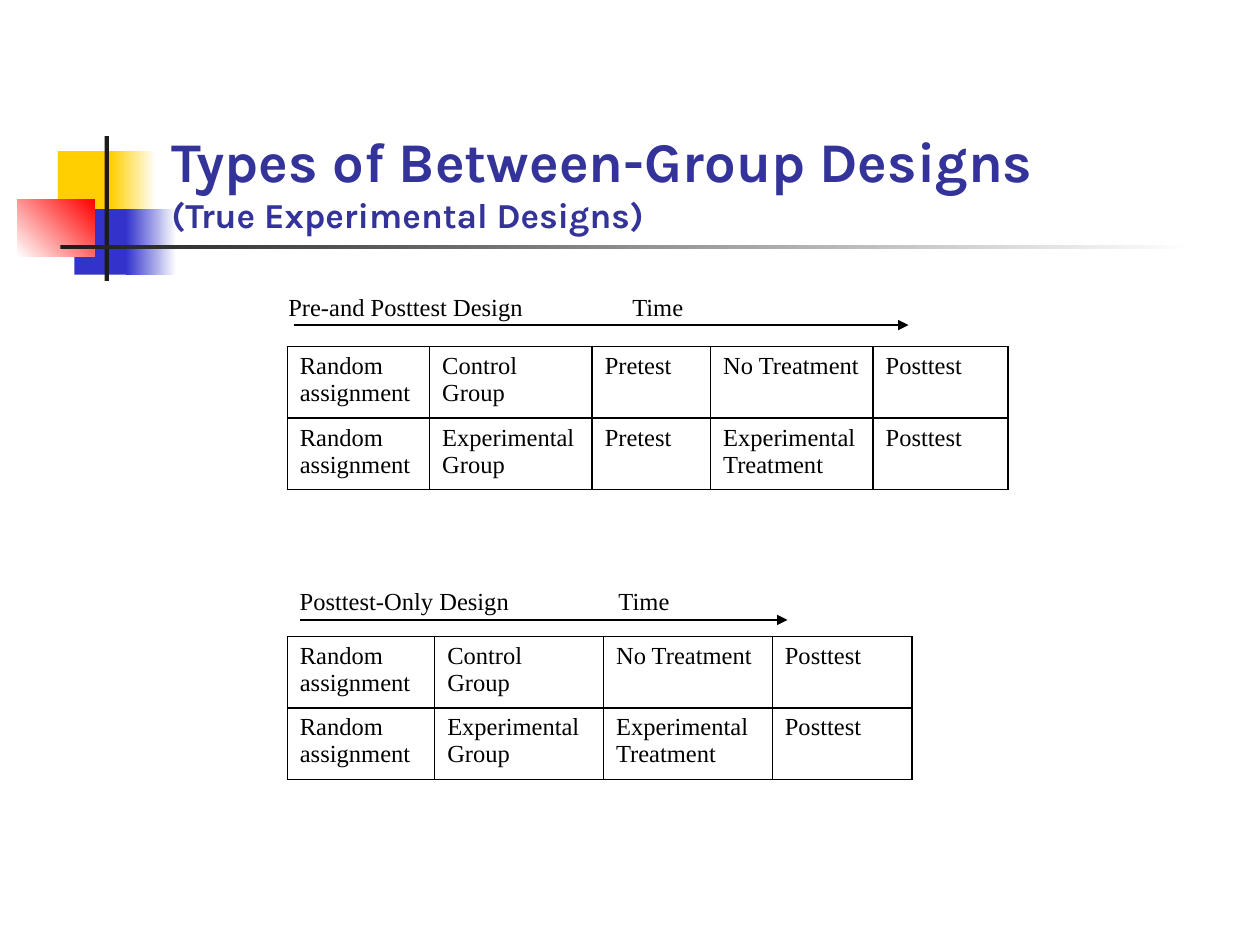
"""Build the slide on types of between-group experimental designs."""
from lxml.etree import SubElement
from pptx import Presentation
from pptx.dml.color import RGBColor
from pptx.enum.shapes import MSO_CONNECTOR as Connector, MSO_SHAPE as Shape
from pptx.enum.text import MSO_ANCHOR as Anchor, MSO_AUTO_SIZE as AutoSize, PP_ALIGN as Align
from pptx.oxml.ns import qn
from pptx.util import Inches, Pt

COLORS = {
    "yellow": "FFCF01", "blue": "3333CC", "red": "FF0000", "dark": "1C1C1C",
    "white": "FFFFFF", "title": "333399", "black": "000000",
}

deck = Presentation()
deck.slide_width, deck.slide_height = Inches(10), Inches(7.5)
COLUMN, ROW = deck.slide_width / 100, deck.slide_height / 75


def place(left, top, width, height):
    return [round(left * COLUMN), round(top * ROW), round(width * COLUMN), round(height * ROW)]


def write(para, text, size=14, font="Times New Roman", color="black", bold=False):
    span = para.add_run()
    span.text = text
    span.font.size, span.font.name, span.font.bold = Pt(size), font, bold
    span.font.color.rgb = RGBColor.from_string(COLORS[color])


page = deck.slides.add_slide(deck.slide_layouts[5])

decorations = [
    ((4.6, 12, 4.8, 5.2), ["yellow"], 0),
    ((8.8, 12, 3.6, 5.2), ["yellow", "white"], 0),
    ((5.9, 16.6, 4.6, 5.2), ["blue"], 0),
    ((10, 16.6, 4, 5.2), ["blue", "white"], 0),
    ((1.4, 15.8, 6.1, 4.6), ["white", "red"], 45),
    ((8.3, 10.8, 0.35, 11.5), ["dark"], 0),
    ((4.8, 19.45, 90, 0.35), ["dark", "white"], 0),
]
for area, names, angle in decorations:
    block = page.shapes.add_shape(Shape.RECTANGLE, *place(*area))
    block.shadow.inherit = False
    block.line.fill.background()
    if len(names) == 1:
        block.fill.solid()
        block.fill.fore_color.rgb = RGBColor.from_string(COLORS[names[0]])
    else:
        block.fill.gradient()
        block.fill.gradient_angle = angle
        for stop, name in zip(block.fill.gradient_stops, names):
            stop.color.rgb = RGBColor.from_string(COLORS[name])

title = page.shapes.title
title.left, title.top, title.width, title.height = place(12.6, 10.8, 85.2, 8.4)
title.element.getparent().append(title.element)
frame = title.text_frame
frame.auto_size, frame.vertical_anchor, frame.word_wrap = AutoSize.NONE, Anchor.BOTTOM, True
para = frame.paragraphs[0]
para.alignment = Align.LEFT
write(para, "Types of Between-Group Designs", size=32, font="Karla", color="title", bold=True)
para.add_line_break()
write(para, "(True Experimental Designs)", size=20, font="Karla", color="title", bold=True)

designs = [
    {
        "label": "Pre-and Posttest Design", "box": (21.9, 22.5, 39.7, 5.7), "tab": 27.3,
        "arrow": (23.3, 72.1, 25.8), "top": 27.5, "widths": [11.3, 12.9, 9.4, 12.9, 10.7],
        "rows": [
            ["Random assignment", "Control Group", "Pretest", "No Treatment", "Posttest"],
            ["Random assignment", "Experimental Group", "Pretest", "Experimental Treatment", "Posttest"],
        ],
    },
    {
        "label": "Posttest-Only Design", "box": (22.8, 45.8, 31.5, 5.7), "tab": 25.3,
        "arrow": (23.8, 62.5, 49.2), "top": 50.5, "widths": [11.7, 13.4, 13.4, 11.1],
        "rows": [
            ["Random assignment", "Control Group", "No Treatment", "Posttest"],
            ["Random assignment", "Experimental Group", "Experimental Treatment", "Posttest"],
        ],
    },
]
for design in designs:
    start, end, level = design["arrow"]
    ends = place(start, level, end, level)
    arrow = page.shapes.add_connector(Connector.STRAIGHT, *ends)
    arrow.line.width = Pt(0.75)
    arrow.line.color.rgb = RGBColor.from_string(COLORS["black"])
    SubElement(arrow.line._get_or_add_ln(), qn("a:tailEnd"), type="triangle")
    SubElement(arrow.element.spPr, qn("a:effectLst"))

    box = page.shapes.add_textbox(*place(*design["box"]))
    frame = box.text_frame
    frame.word_wrap, frame.margin_top = True, round(0.7 * ROW)
    para = frame.paragraphs[0]
    write(para, design["label"] + "\tTime")
    tabs = SubElement(para._p.get_or_add_pPr(), qn("a:tabLst"))
    SubElement(tabs, qn("a:tab"), pos=str(round(design["tab"] * COLUMN)), algn="l")

    rows, widths = design["rows"], design["widths"]
    area = place(22.8, design["top"], sum(widths), 5.65 * len(rows))
    table = page.shapes.add_table(len(rows), len(widths), *area).table
    table.first_row = table.horz_banding = False
    for column, width in zip(table.columns, widths):
        column.width = round(width * COLUMN)
    for cell, text in zip(table.iter_cells(), sum(rows, [])):
        write(cell.text_frame.paragraphs[0], text)
        properties = cell._tc.get_or_add_tcPr()
        for side in ("lnL", "lnR", "lnT", "lnB"):
            border = SubElement(properties, qn("a:" + side), w=str(Pt(1)))
            fill = SubElement(border, qn("a:solidFill"))
            SubElement(fill, qn("a:srgbClr"), val=COLORS["black"])
        cell.fill.background()

deck.save("out.pptx")
